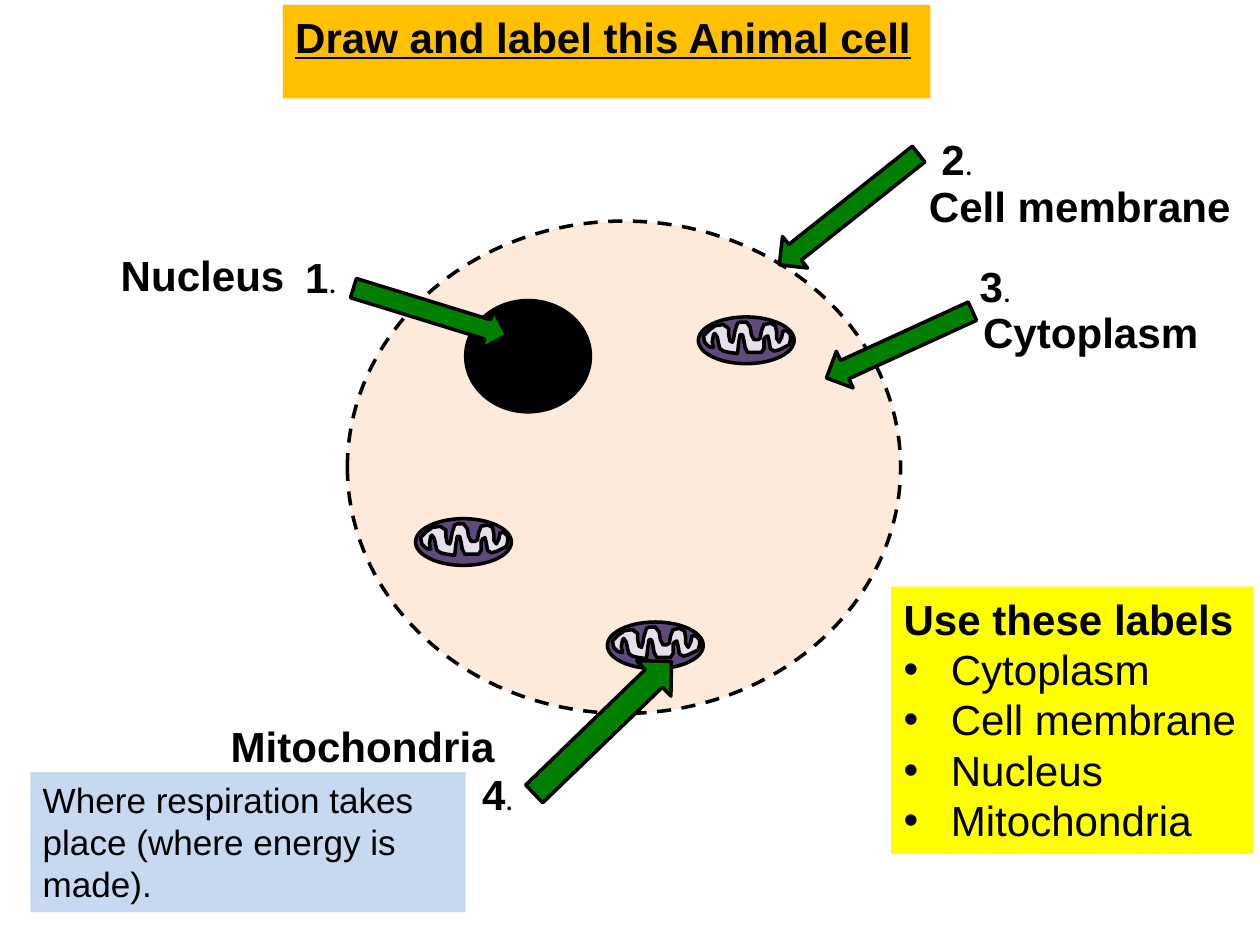
"""Builds a worksheet slide with a labelled animal cell."""
from dataclasses import dataclass
from typing import Optional

from lxml.etree import SubElement
from pptx import Presentation
from pptx.dml.color import RGBColor
from pptx.enum.dml import MSO_LINE
from pptx.enum.shapes import MSO_SHAPE
from pptx.oxml.ns import qn
from pptx.util import Cm, Pt

HUES = {
    "black": "000000", "title": "FFC000", "cell": "FDEADA", "arrow": "008000",
    "shell": "604A7B", "fold": "E6E0EC", "list": "FFFF00", "note": "C6D9F1",
}

FOLD = [
    (12, 8), (9, 10), (6, 13), (4, 15), (5, 20), (8, 23), (10, 24), (12, 24),
    (11, 20), (12, 14), (13, 13), (15, 16), (16, 21), (17, 25), (20, 27),
    (24, 28), (31, 29), (32, 20), (33, 14), (35, 14), (36, 18), (37, 24),
    (39, 28), (41, 28), (50, 28), (52, 25), (52, 18), (53, 16), (55, 15),
    (56, 19), (57, 25), (60, 27), (64, 26), (68, 24), (72, 22), (73, 18),
    (73, 14), (70, 11), (67, 11), (66, 16), (64, 20), (62, 17), (62, 12),
    (61, 7), (57, 5), (52, 6), (50, 11), (49, 17), (47, 18), (44, 18),
    (42, 14), (41, 8), (38, 4), (33, 4), (31, 5), (29, 11), (28, 17),
    (27, 20), (25, 19), (24, 14), (24, 9), (21, 7), (20, 6), (13, 7),
]


@dataclass
class Box:
    left: float
    top: float
    width: float
    height: float

    def size(self) -> tuple:
        return Cm(self.left), Cm(self.top), Cm(self.width), Cm(self.height)


@dataclass
class Arrow:
    box: Box
    turn: float


@dataclass
class Run:
    text: str
    size: int = 24
    bold: bool = False
    line: bool = False
    font: str = "Arial"


@dataclass
class Panel:
    box: Box
    lines: list[list[Run]]
    fill: Optional[str] = None
    wrap: bool = True


def label(left: float, top: float, width: float, text: str) -> Panel:
    return Panel(Box(left, top, width, 1.27), [[Run(text, bold=True)]])


def number(left: float, top: float, text: str) -> Panel:
    runs = [Run(text, bold=True), Run(".", 18, font="Calibri")]
    return Panel(Box(left, top, 1.14, 1.27), [runs], wrap=False)


ARROWS = [
    Arrow(Box(7.04, 5.87, 3.23, 0.81), 17.1),
    Arrow(Box(16.48, 6.53, 3.23, 0.81), 155.4),
    Arrow(Box(15.29, 3.81, 3.58, 0.81), 141.5),
]
LAST = Arrow(Box(10.21, 14.15, 3.84, 0.99), 316)
SPOTS = [(8.36, 10.44), (12.22, 12.52), (14.05, 6.38)]
TITLE = Panel(Box(5.69, 0.1, 13.03, 1.88),
              [[Run("Draw and label this Animal cell", bold=True, line=True)]], "title")
WORDS = Panel(Box(17.93, 11.81, 7.29, 5.38), [[Run("Use these labels", bold=True)]], "list")
NAMES = ["Cytoplasm", "Cell membrane", "Nucleus", "Mitochondria"]
PANELS = [
    label(2.18, 4.9, 4.19, "Nucleus"),
    label(18.44, 3.51, 6.86, "Cell membrane"),
    label(19.53, 6.05, 5.6, "Cytoplasm"),
    label(4.39, 14.38, 6.5, "Mitochondria"),
    Panel(Box(0.61, 15.54, 8.76, 2.82),
          [[Run("Where respiration takes place (where energy is made).", 20)]], "note"),
    number(5.89, 4.93, "1"),
    number(18.69, 2.57, "2"),
    number(19.46, 5.11, "3"),
    number(9.45, 15.34, "4"),
]


def hue(name: str) -> RGBColor:
    return RGBColor.from_string(HUES[name])


def paint(shape, fill: str) -> None:
    shape.shadow.inherit = False
    shape.fill.solid()
    shape.fill.fore_color.rgb = hue(fill)
    shape.line.color.rgb = hue("black")
    shape.line.width = Pt(2)


def oval(shapes, box: Box, fill: str):
    shape = shapes.add_shape(MSO_SHAPE.OVAL, *box.size())
    paint(shape, fill)
    return shape


def point(shapes, arrow: Arrow) -> None:
    shape = shapes.add_shape(MSO_SHAPE.RIGHT_ARROW, *arrow.box.size())
    shape.rotation = arrow.turn
    paint(shape, "arrow")


def organ(shapes, left: float, top: float) -> None:
    group = shapes.add_group_shape().shapes
    oval(group, Box(left, top, 1.93, 0.94), "shell")
    pen = group.build_freeform(*FOLD[0], scale=Cm(2.54) / 100)
    pen.add_line_segments(FOLD[1:], close=True)
    paint(pen.convert_to_shape(Cm(left), Cm(top)), "fold")


def write(shapes, panel: Panel):
    shape = shapes.add_textbox(*panel.box.size())
    if panel.fill:
        shape.fill.solid()
        shape.fill.fore_color.rgb = hue(panel.fill)
    frame = shape.text_frame
    frame.word_wrap = panel.wrap
    for i, runs in enumerate(panel.lines):
        para = frame.add_paragraph() if i else frame.paragraphs[0]
        for item in runs:
            run = para.add_run()
            run.text = item.text
            font = run.font
            font.name, font.size = item.font, Pt(item.size)
            font.bold, font.underline = item.bold, item.line
            font.color.rgb = hue("black")
    return frame


def bullet(para) -> None:
    props = para._p.get_or_add_pPr()
    props.set("marL", str(Cm(0.95)))
    props.set("indent", str(-Cm(0.95)))
    SubElement(props, qn("a:buFont")).set("typeface", "Arial")
    SubElement(props, qn("a:buChar")).set("char", "•")


def main() -> None:
    deck = Presentation()
    deck.slide_width, deck.slide_height = Cm(25.35), Cm(19.02)
    shapes = deck.slides.add_slide(deck.slide_layouts[6]).shapes

    write(shapes, TITLE)
    cell = oval(shapes, Box(6.99, 4.45, 11.13, 9.91), "cell")
    cell.line.dash_style = MSO_LINE.DASH
    oval(shapes, Box(9.37, 6.05, 2.51, 2.24), "black")
    for arrow in ARROWS:
        point(shapes, arrow)
    for spot in SPOTS:
        organ(shapes, *spot)
    point(shapes, LAST)

    WORDS.lines.extend([Run(name)] for name in NAMES)
    for para in write(shapes, WORDS).paragraphs[1:]:
        bullet(para)
    for panel in PANELS:
        write(shapes, panel)
    deck.save("out.pptx")


if __name__ == "__main__":
    main()
